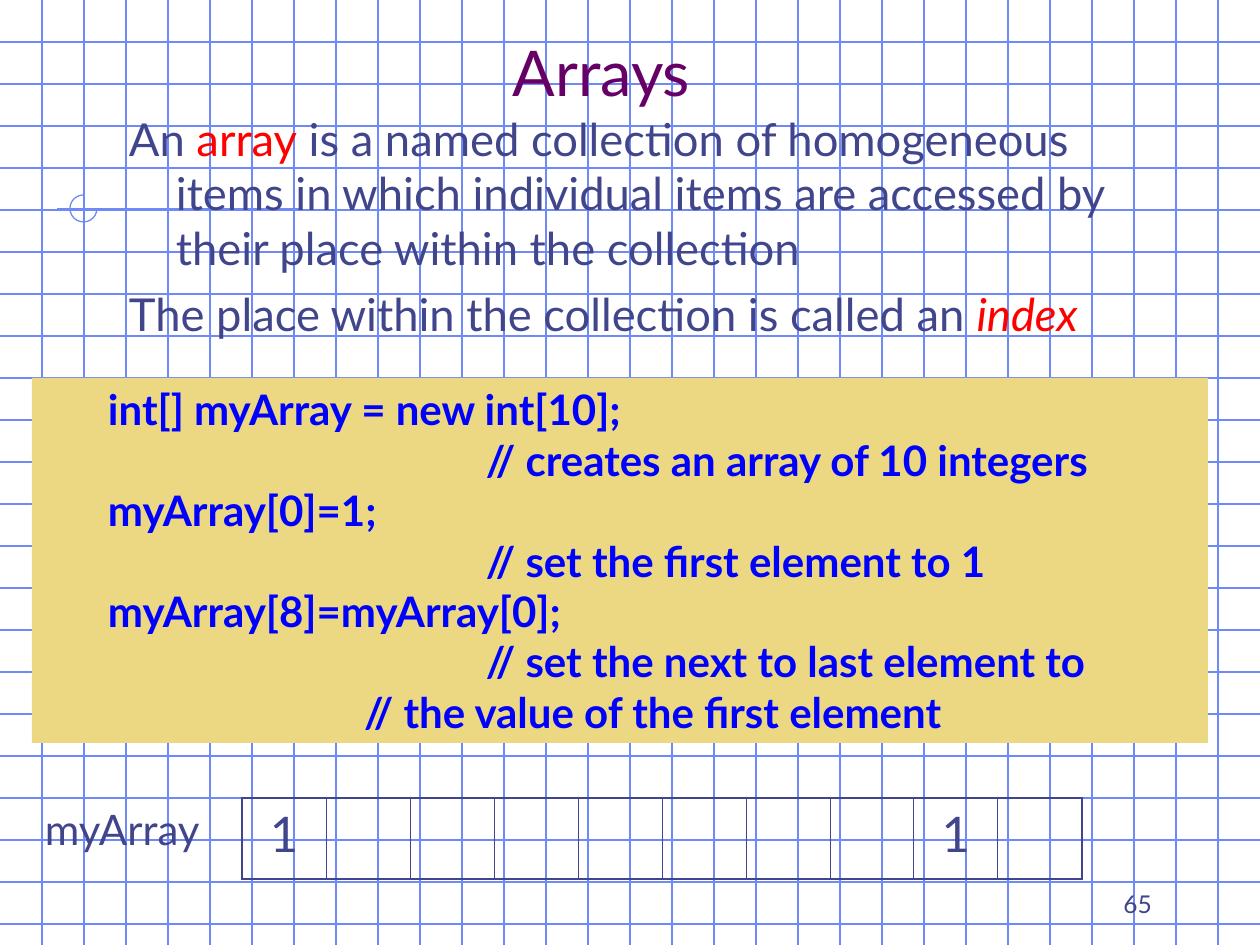
from lxml import etree
from pptx import Presentation
from pptx import util as u
from pptx.dml.color import RGBColor
from pptx.enum import shapes, text
from pptx.oxml.ns import qn

COLORS = {"grid": "7089F8", "margin": "6F89F7", "title": "660066", "ink": "40458C",
          "accent": "FF0000", "code": "0000FF", "panel": "ECD882"}
FONT = "Lato"
WIDTH, HEIGHT, STEP = 1260, 945, 42
INSET_X, INSET_Y = 13, 6

TITLE = [[("Arrays", {})]]
DEFINITIONS = [
    [("An ", {}), ("array", {"color": "accent"}),
     (" is a named collection of homogeneous items in which individual items "
      "are accessed by their place within the collection", {})],
    [("The place within the collection is called an ", {}),
     ("index", {"color": "accent", "italic": True})],
]
STATEMENT, COMMENT, CONTINUED = 63, 441, 319
CODE = [
    (STATEMENT, "int[] myArray = new int[10];"),
    (COMMENT, "// creates an array of 10 integers"),
    (STATEMENT, "myArray[0]=1;"),
    (COMMENT, "// set the first element to 1"),
    (STATEMENT, "myArray[8]=myArray[0];"),
    (COMMENT, "// set the next to last element to"),
    (CONTINUED, "// the value of the first element"),
]
ARRAY_NAME = [[("myArray", {})]]
ELEMENTS = ["1", "", "", "", "", "", "", "", "1", ""]
PAGE_NUMBER = [[("65", {})]]
MARGIN_LINES = [(1218, 0, 1218, 325), (302, 209, 57, 209), (84, 195, 84, 515)]


def px(n):
    return u.Emu(round(n * 914400 / 126))


def rgb(name):
    return RGBColor.from_string(COLORS[name])


def write(frame, paragraphs, size, color="ink", bold=False, align="LEFT", before=0,
          indents=None, hanging=0):
    frame.word_wrap = True
    for i, runs in enumerate(paragraphs):
        paragraph = frame.paragraphs[0] if i == 0 else frame.add_paragraph()
        paragraph.alignment = getattr(text.PP_ALIGN, align)
        if i and before:
            paragraph.space_before = u.Pt(before)
        if indents:
            properties = paragraph._p.get_or_add_pPr()
            properties.set("marL", str(px(indents[i])))
            properties.set("indent", str(-px(hanging)))
        for words, style in runs:
            run = paragraph.add_run()
            run.text = words
            run.font.name = FONT
            run.font.size = u.Pt(size)
            run.font.bold = bold
            run.font.italic = style.get("italic", False)
            run.font.color.rgb = rgb(style.get("color", color))


def set_frame(frame, anchor="TOP", right=INSET_X):
    frame.margin_left, frame.margin_right = px(INSET_X), px(right)
    frame.margin_top = frame.margin_bottom = px(INSET_Y)
    frame.vertical_anchor = getattr(text.MSO_ANCHOR, anchor)
    return frame


def add_box(slide, left, top, width, height, **layout):
    box = slide.shapes.add_textbox(px(left), px(top), px(width), px(height))
    return set_frame(box.text_frame, **layout)


def add_line(slide, x1, y1, x2, y2, color):
    line = slide.shapes.add_connector(shapes.MSO_CONNECTOR.STRAIGHT,
                                      px(x1), px(y1), px(x2), px(y2))
    line.line.color.rgb = rgb(color)
    line.line.width = u.Pt(0.75)
    etree.SubElement(line._element.spPr, qn("a:effectLst"))


def add_background(slide):
    for y in range(STEP, HEIGHT, STEP):
        add_line(slide, 0, y, WIDTH, y, "grid")
    for x in range(STEP, WIDTH, STEP):
        add_line(slide, x, 0, x, HEIGHT, "grid")
    for ends in MARGIN_LINES:
        add_line(slide, *ends, "margin")
    ring = slide.shapes.add_shape(shapes.MSO_SHAPE.ARC, px(70), px(195), px(27), px(27))
    ring.adjustments[0], ring.adjustments[1] = 0, 162
    ring.shadow.inherit = False
    ring.fill.background()
    ring.line.color.rgb = rgb("margin")
    ring.line.width = u.Pt(0.75)


def add_code(slide):
    panel = slide.shapes.add_shape(shapes.MSO_SHAPE.RECTANGLE,
                                   px(32), px(378), px(1176), px(365))
    panel.shadow.inherit = False
    panel.fill.solid()
    panel.fill.fore_color.rgb = rgb("panel")
    panel.line.fill.background()
    write(set_frame(panel.text_frame), [[(line, {})] for _, line in CODE], size=24,
          color="code", bold=True, indents=[indent for indent, _ in CODE])


def set_borders(cell, widths):
    properties = cell._tc.get_or_add_tcPr()
    for side, width in widths.items():
        border = etree.SubElement(properties, qn("a:ln" + side), w=str(u.Pt(width)))
        fill = etree.SubElement(border, qn("a:solidFill"))
        etree.SubElement(fill, qn("a:srgbClr"), val=COLORS["ink"])


def add_array(slide):
    count = len(ELEMENTS)
    table = slide.shapes.add_table(1, count, px(242), px(798), px(840), px(81)).table
    table.first_row = table.horz_banding = False
    outer, inner = 1.08, 0.45
    for i, value in enumerate(ELEMENTS):
        table.columns[i].width = px(840 / count)
        cell = table.cell(0, i)
        set_borders(cell, {"L": outer if i == 0 else inner,
                           "R": outer if i == count - 1 else inner,
                           "T": outer, "B": outer})
        cell.fill.background()
        if value:
            write(cell.text_frame, [[(value, {})]], size=28, align="CENTER")


def main():
    deck = Presentation()
    deck.slide_width, deck.slide_height = px(WIDTH), px(HEIGHT)
    slide = deck.slides.add_slide(deck.slide_layouts[6])
    add_background(slide)
    write(add_box(slide, 84, 42, 1071, 73, anchor="BOTTOM", right=49), TITLE,
          size=36, color="title", align="CENTER")
    write(add_box(slide, 116, 105, 1071, 273), DEFINITIONS, size=25.9, before=7,
          indents=[47, 47], hanging=47)
    add_code(slide)
    add_array(slide)
    write(add_box(slide, 32, 798, 210, 63), ARRAY_NAME, size=24)
    write(add_box(slide, 903, 861, 262, 63, anchor="BOTTOM"), PAGE_NUMBER,
          size=14, align="RIGHT")
    deck.save("out.pptx")


if __name__ == "__main__":
    main()
